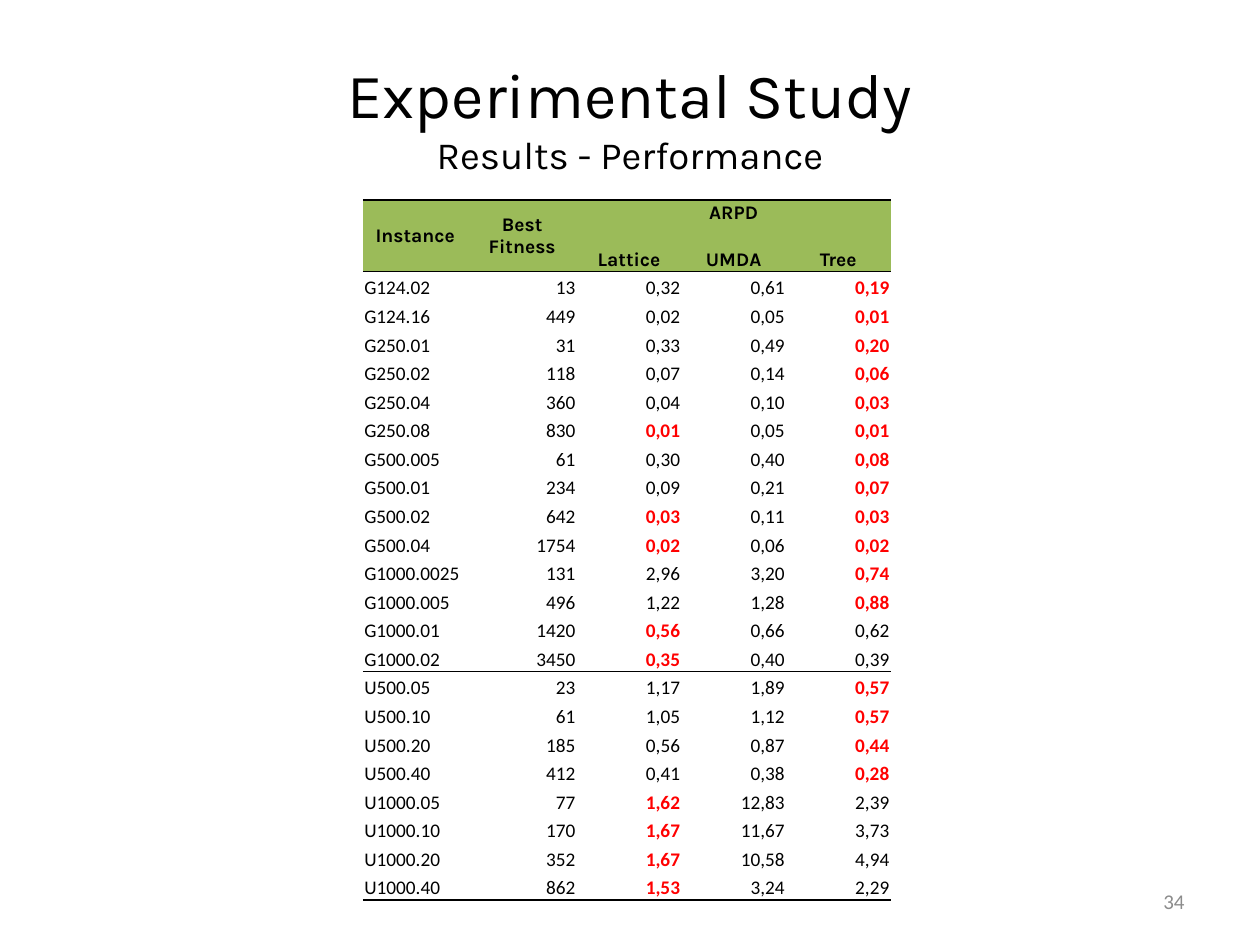
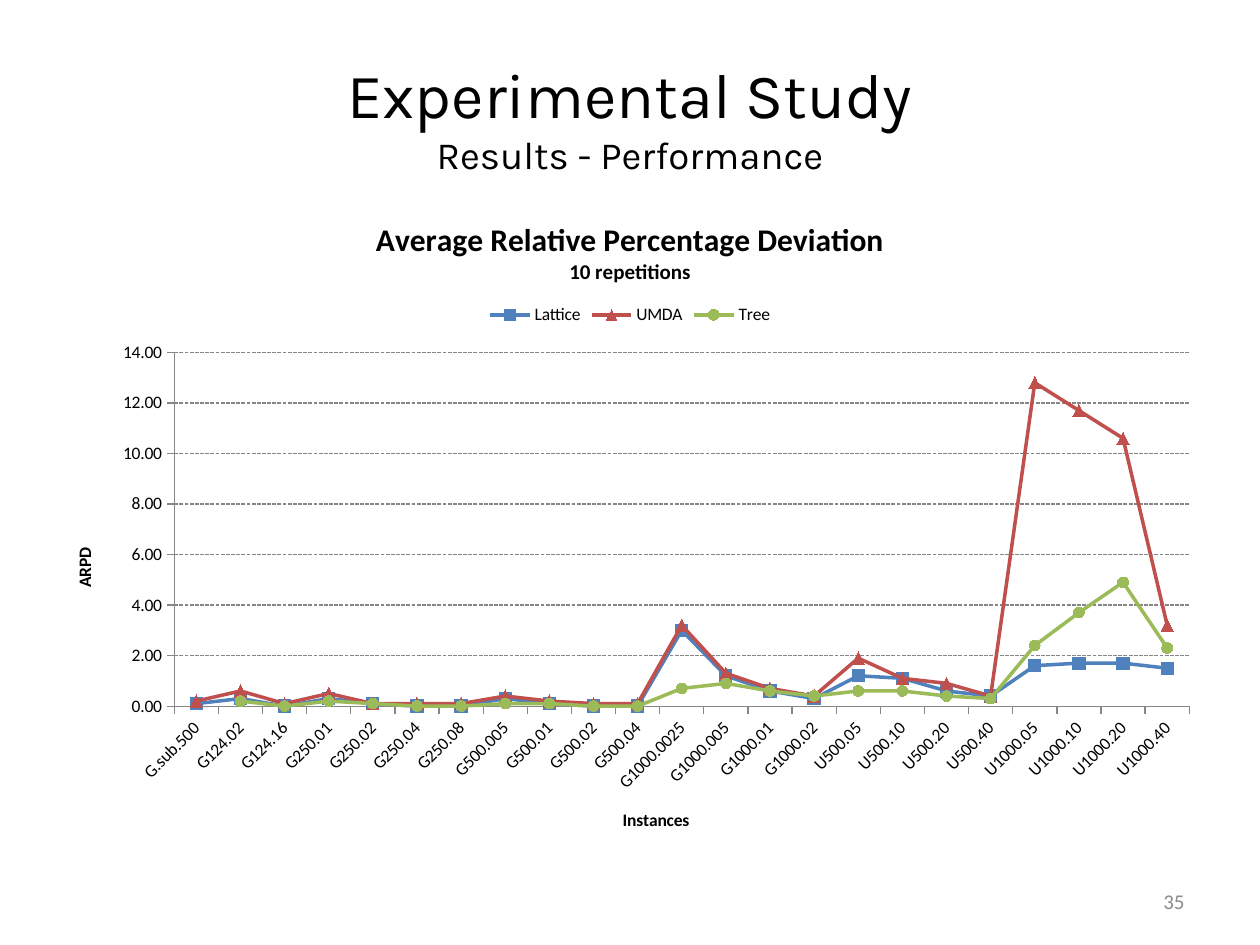
"""Build two result slides: a table of ARPD scores and a line chart of them."""
from dataclasses import dataclass

from lxml.etree import SubElement as Sub
from pptx import Presentation
from pptx.chart.data import CategoryChartData as ChartData
from pptx.dml.color import RGBColor as RGB
from pptx.enum.chart import XL_CHART_TYPE as Kind
from pptx.enum.chart import XL_LEGEND_POSITION as Legend
from pptx.enum.chart import XL_MARKER_STYLE as Mark
from pptx.enum.dml import MSO_LINE as Dash
from pptx.enum.text import MSO_ANCHOR as Anchor
from pptx.enum.text import MSO_AUTO_SIZE as Fit
from pptx.enum.text import PP_ALIGN as Align
from pptx.oxml.ns import qn
from pptx.util import Pt

HEAD = ("Experimental Study", "Results - Performance")
FIRST_PAGE = 34
LEADS = ("Instance", "Best Fitness")
GROUP = "ARPD"
ROWS = [
    ("G124.02", 13, 0.32, 0.61, 0.19),
    ("G124.16", 449, 0.02, 0.05, 0.01),
    ("G250.01", 31, 0.33, 0.49, 0.20),
    ("G250.02", 118, 0.07, 0.14, 0.06),
    ("G250.04", 360, 0.04, 0.10, 0.03),
    ("G250.08", 830, 0.01, 0.05, 0.01),
    ("G500.005", 61, 0.30, 0.40, 0.08),
    ("G500.01", 234, 0.09, 0.21, 0.07),
    ("G500.02", 642, 0.03, 0.11, 0.03),
    ("G500.04", 1754, 0.02, 0.06, 0.02),
    ("G1000.0025", 131, 2.96, 3.20, 0.74),
    ("G1000.005", 496, 1.22, 1.28, 0.88),
    ("G1000.01", 1420, 0.56, 0.66, 0.62),
    ("G1000.02", 3450, 0.35, 0.40, 0.39),
    ("U500.05", 23, 1.17, 1.89, 0.57),
    ("U500.10", 61, 1.05, 1.12, 0.57),
    ("U500.20", 185, 0.56, 0.87, 0.44),
    ("U500.40", 412, 0.41, 0.38, 0.28),
    ("U1000.05", 77, 1.62, 12.83, 2.39),
    ("U1000.10", 170, 1.67, 11.67, 3.73),
    ("U1000.20", 352, 1.67, 10.58, 4.94),
    ("U1000.40", 862, 1.53, 3.24, 2.29),
]
EXTRA = ("G.sub.500", None, 0.1, 0.2, None)
CHART_HEAD = ("Average Relative Percentage Deviation", "10 repetitions")
CHART_BOX = (27, 111.6, 666, 378)
AXES = ("Instances", "ARPD")
LINES = [
    ("Lattice", "4F81BD", Mark.SQUARE, 7),
    ("UMDA", "C0504D", Mark.TRIANGLE, 7),
    ("Tree", "9BBB59", Mark.CIRCLE, 6),
]
NO_STYLE = "{2D5ABB26-0587-4C30-8999-92F81FD0307C}"


@dataclass(frozen=True)
class Theme:
    """Colours, fonts and type sizes."""
    ink: str = "000000"
    best: str = "FF0000"
    band: str = "9BBB59"
    page: str = "8C8C8C"
    rule: str = "868686"
    head: str = "Karla"
    body: str = "Calibri"
    big: int = 36
    sub: int = 22
    cell: int = 11
    foot: int = 12
    label: int = 10
    chart: tuple = (18, 12)


T = Theme()


def style(font, size, name=T.body, color=T.ink, bold=False):
    """Set all the traits of a font."""
    font.size, font.name, font.bold = Pt(size), name, bold
    font.color.rgb = RGB.from_string(color)


def add_page(deck, num):
    """Add a slide with the shared title and page number."""
    slide = deck.slides.add_slide(deck.slide_layouts[5])
    title = slide.shapes.title
    title.left, title.top, title.width, title.height = map(Pt, (36, 21.6, 648, 90))
    frame = title.text_frame
    frame.auto_size, frame.vertical_anchor = Fit.NONE, Anchor.MIDDLE
    para = frame.paragraphs[0]
    para.text = "\v".join(HEAD)
    para.alignment = Align.CENTER
    style(para.font, T.big, T.head)
    for run, size in zip(para.runs, (T.big, T.sub)):
        run.font.size = Pt(size)

    frame = slide.shapes.add_textbox(*map(Pt, (516, 500.5, 168, 28.8))).text_frame
    frame.word_wrap, frame.vertical_anchor = True, Anchor.MIDDLE
    para = frame.paragraphs[0]
    para.text, para.alignment = str(num), Align.RIGHT
    style(para.font, T.foot, color=T.page)
    return slide


def add_edge(cell, side, width):
    """Draw the top (T) or bottom (B) border of a cell; width 0 hides it."""
    props = cell._tc.get_or_add_tcPr()
    line = Sub(props, qn(f"a:ln{side}"), w=str(Pt(width)))
    if width:
        fill = Sub(line, qn("a:solidFill"))
        Sub(fill, qn("a:srgbClr"), val=T.ink)
    else:
        Sub(line, qn("a:noFill"))
    props.insert(len(props.findall(qn("a:lnT"))) if side == "B" else 0, line)


def put(cell, text, align, anchor=Anchor.BOTTOM, fill=None, **font):
    """Write and format one table cell."""
    cell.margin_left = cell.margin_right = Pt(0.75)
    cell.margin_top, cell.margin_bottom = Pt(0.6), 0
    cell.vertical_anchor = anchor
    if fill:
        cell.fill.solid()
        cell.fill.fore_color.rgb = RGB.from_string(fill)
    else:
        cell.fill.background()
    para = cell.text_frame.paragraphs[0]
    para.text, para.alignment = text, align
    style(para.font, T.cell, **font)


def add_scores(slide):
    """Add the score table, with the best of each row in red."""
    widths = [59.8, 62.4, 59.8, 59.8, 59.8]
    heights = [8.6] + [16.35] * (len(ROWS) + 1)
    table = slide.shapes.add_table(
        len(heights), len(widths),
        *map(Pt, (207.4, 114.3, sum(widths), sum(heights)))).table
    table._tbl.tblPr.find(qn("a:tableStyleId")).text = NO_STYLE
    table.first_row = table.horz_banding = False
    for col, width in zip(table.columns, widths):
        col.width = Pt(width)
    for row, height in zip(table.rows, heights):
        row.height = Pt(height)

    names = [line[0] for line in LINES]
    heads = [(*LEADS, GROUP, "", ""), ("", "", *names)]
    for r, texts in enumerate(heads):
        for c, text in enumerate(texts):
            anchor = Anchor.MIDDLE if c < len(LEADS) else Anchor.BOTTOM
            put(table.cell(r, c), text, Align.CENTER, anchor, T.band,
                name=T.head, bold=True)
    for c in range(len(LEADS)):
        table.cell(0, c).merge(table.cell(1, c))
    table.cell(0, 2).merge(table.cell(0, 4))

    for r, (name, fit, *scores) in enumerate(ROWS, len(heads)):
        put(table.cell(r, 0), name, Align.LEFT)
        put(table.cell(r, 1), str(fit), Align.RIGHT)
        for c, score in enumerate(scores, 2):
            top = score == min(scores)
            put(table.cell(r, c), f"{score:.2f}".replace(".", ","), Align.RIGHT,
                color=T.best if top else T.ink, bold=top)

    split = len(heads) + sum(row[0].startswith("G") for row in ROWS)
    last = len(heights) - 1
    edges = [(0, "T", 1), (1, "B", 1), (2, "T", 1), (2, "B", 0),
             (split - 1, "B", 0.5), (split, "T", 0.5), (split, "B", 0),
             (last, "B", 1)]
    for r, side, width in edges:
        for c in range(len(widths)):
            add_edge(table.cell(r, c), side, width)
    for c in range(len(LEADS)):
        add_edge(table.cell(0, c), "B", 1)


def place(part, index, inner=False, **spots):
    """Give a chart part a fixed place, in points from the chart's corner."""
    old = part.find(qn("c:layout"))
    if old is not None:
        part.remove(old)
    box = Sub(part, qn("c:layout"))
    part.insert(index, box)
    man = Sub(box, qn("c:manualLayout"))
    if inner:
        Sub(man, qn("c:layoutTarget"), val="inner")
    for key in "xy":
        Sub(man, qn(f"c:{key}Mode"), val="edge")
    wide, high = CHART_BOX[2:]
    for key, spot in spots.items():
        share = spot / (wide if key in "xw" else high)
        Sub(man, qn(f"c:{key}"), val=f"{share:.4f}")


def add_lines(slide):
    """Add the line chart of all scores, rounded to one digit."""
    rows = [EXTRA, *ROWS]
    data = ChartData(number_format="0.00")
    data.categories = [row[0] for row in rows]
    for c, line in enumerate(LINES, 2):
        data.add_series(line[0], [None if row[c] is None else round(row[c], 1)
                                  for row in rows])
    chart = slide.shapes.add_chart(
        Kind.LINE_MARKERS, *map(Pt, CHART_BOX), data).chart
    style(chart.font, T.label)

    chart.has_title = True
    frame = chart.chart_title.text_frame
    frame.text = "\n".join(CHART_HEAD)
    for para, size in zip(frame.paragraphs, T.chart):
        style(para.font, size, bold=True)
    chart.has_legend = True
    chart.legend.position = Legend.TOP
    chart.legend.include_in_layout = False
    style(chart.legend.font, T.label)

    plot = chart.plots[0]
    plot.vary_by_categories = False
    for series, (_, color, mark, size) in zip(plot.series, LINES):
        series.smooth = False
        series.format.line.width = Pt(2)
        series.marker.style, series.marker.size = mark, size
        shade = RGB.from_string(color)
        series.format.line.color.rgb = shade
        series.marker.format.fill.solid()
        series.marker.format.fill.fore_color.rgb = shade
        series.marker.format.line.color.rgb = shade

    cat, val = chart.category_axis, chart.value_axis
    grey = RGB.from_string(T.rule)
    spots = [(327, 348.6), (13, 199.7)]
    for axis, text, (x, y) in zip((cat, val), AXES, spots):
        axis.format.line.color.rgb = grey
        style(axis.tick_labels.font, T.label)
        axis.has_title = True
        para = axis.axis_title.text_frame.paragraphs[0]
        para.text = text
        style(para.font, T.label, bold=True)
        place(axis.axis_title._element, 1, x=x, y=y)
    cat._element.find(qn("c:txPr")).find(qn("a:bodyPr")).set("rot", "-2700000")
    val.minimum_scale, val.maximum_scale, val.major_unit = 0, 14, 2
    val.tick_labels.number_format = "0.00"
    val.tick_labels.number_format_is_linked = False
    grid = val.major_gridlines.format.line
    grid.color.rgb, grid.dash_style, grid.width = grey, Dash.SQUARE_DOT, Pt(0.75)
    area = chart._chartSpace.chart.plotArea
    place(area, 0, inner=True, x=72.6, y=89.8, w=580, h=202.2)


def main():
    """Build and save the deck."""
    deck = Presentation()
    deck.slide_width, deck.slide_height = Pt(720), Pt(540)
    for num, fill in enumerate((add_scores, add_lines), FIRST_PAGE):
        fill(add_page(deck, num))
    deck.save("out.pptx")


if __name__ == "__main__":
    main()
